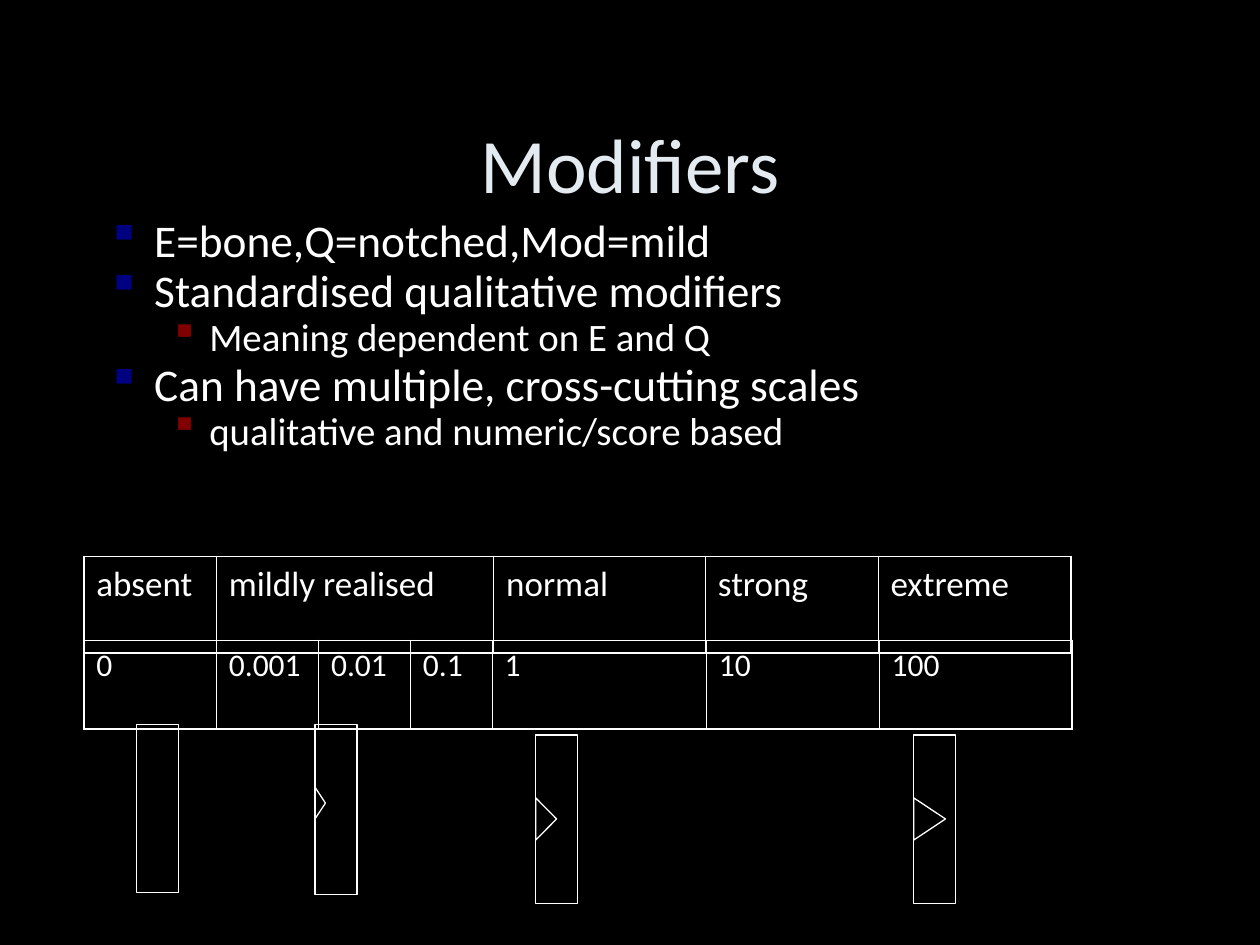
from dataclasses import dataclass

from lxml import etree
from pptx import Presentation
from pptx.dml.color import RGBColor
from pptx.enum.shapes import MSO_SHAPE
from pptx.enum.text import MSO_ANCHOR, PP_ALIGN
from pptx.oxml.ns import qn
from pptx.util import Cm, Pt

RECT = MSO_SHAPE.RECTANGLE
WEDGE = MSO_SHAPE.ISOSCELES_TRIANGLE
CENTER, LEFT = PP_ALIGN.CENTER, PP_ALIGN.LEFT
MIDDLE, TOP = MSO_ANCHOR.MIDDLE, MSO_ANCHOR.TOP
FONT = "Calibri"
WHITE, BLACK, PALE = "FFFFFF", "000000", "E3EBF1"
OUTER, INNER = 1.08, 0.45


@dataclass
class Level:
    size: float
    margin: float
    indent: float
    before: float
    color: str


@dataclass
class Scale:
    top: float
    height: float
    size: float
    cols: list[tuple[str, float]]


@dataclass
class Bone:
    """A bone outline; its notch has a depth, a span and a centre height."""
    left: float
    top: float
    height: float
    depth: float = 0
    span: float = 0
    mid: float = 0


LEVELS = [
    Level(25.9, 0.95, -0.95, 7, "000080"),
    Level(22.2, 2.06, -0.79, 6, "800000"),
]
POINTS = [
    (0, "E=bone,Q=notched,Mod=mild"),
    (0, "Standardised qualitative modifiers"),
    (1, "Meaning dependent on E and Q"),
    (0, "Can have multiple, cross-cutting scales"),
    (1, "qualitative and numeric/score based"),
]
SCALES = [
    Scale(11.22, 1.95, 20, [
        ("absent", 2.67), ("mildly realised", 5.59), ("normal", 4.27),
        ("strong", 3.48), ("extreme", 3.89)]),
    Scale(12.91, 1.78, 18, [
        ("0", 2.67), ("0.001", 2.06), ("0.01", 1.85), ("0.1", 1.65),
        ("1", 4.32), ("10", 3.48), ("100", 3.89)]),
]
BONES = [
    Bone(2.75, 14.61, 3.39),
    Bone(6.35, 14.61, 3.43, 0.21, 0.64, 16.19),
    Bone(10.8, 14.82, 3.39, 0.42, 0.85, 16.51),
    Bone(18.42, 14.82, 3.39, 0.64, 0.85, 16.51),
]
BONE_WIDTH = 0.85


def rgb(color: str) -> RGBColor:
    return RGBColor.from_string(color)


def write(para, text: str, *, size: float, color: str = WHITE,
          align=LEFT) -> None:
    para.alignment = align
    run = para.add_run()
    run.text = text
    run.font.name = FONT
    run.font.size = Pt(size)
    run.font.color.rgb = rgb(color)


def bullet(para, level: Level) -> None:
    props = para._p.get_or_add_pPr()
    props.set("marL", str(Cm(level.margin)))
    props.set("indent", str(Cm(level.indent)))
    tint = etree.SubElement(props, qn("a:buClr"))
    etree.SubElement(tint, qn("a:srgbClr"), val=level.color)
    etree.SubElement(props, qn("a:buChar"), char="▪")


def border(cell, sides: dict[str, float]) -> None:
    props = cell._tc.get_or_add_tcPr()
    for spot, (side, width) in enumerate(sides.items()):
        line = etree.Element(qn(f"a:ln{side}"), w=str(Pt(width)))
        fill = etree.SubElement(line, qn("a:solidFill"))
        etree.SubElement(fill, qn("a:srgbClr"), val=WHITE)
        props.insert(spot, line)


def add_points(slide) -> None:
    box = slide.shapes.add_textbox(Cm(1.91), Cm(4.45), Cm(21.79), Cm(5.08))
    frame = box.text_frame
    frame.word_wrap = True
    for spot, (depth, text) in enumerate(POINTS):
        para = frame.add_paragraph() if spot else frame.paragraphs[0]
        level = LEVELS[depth]
        bullet(para, level)
        para.level = depth
        para.line_spacing = 0.7
        para.space_before = Pt(level.before if spot else 0)
        write(para, text, size=level.size)


def add_scale(slide, scale: Scale) -> None:
    width = sum(wide for _, wide in scale.cols)
    count = len(scale.cols)
    table = slide.shapes.add_table(
        1, count, Cm(1.69), Cm(scale.top), Cm(width), Cm(scale.height)).table
    table.first_row = table.horz_banding = False
    for spot, (text, wide) in enumerate(scale.cols):
        table.columns[spot].width = Cm(wide)
        cell = table.cell(0, spot)
        cell.fill.background()
        write(cell.text_frame.paragraphs[0], text, size=scale.size)
        border(cell, {
            "L": INNER if spot else OUTER,
            "R": INNER if spot < count - 1 else OUTER,
            "T": OUTER,
            "B": OUTER,
        })


def outline(slide, kind, left: float, top: float, width: float,
            height: float, turn: float = 0) -> None:
    shape = slide.shapes.add_shape(
        kind, Cm(left), Cm(top), Cm(width), Cm(height))
    shape.rotation = turn
    shape.shadow.inherit = False
    shape.fill.background()
    shape.line.color.rgb = rgb(WHITE)
    shape.line.width = Pt(0.75)


def add_bone(slide, bone: Bone) -> None:
    outline(slide, RECT, bone.left, bone.top, BONE_WIDTH, bone.height)
    if bone.depth:
        # Turned about its centre, the wedge rests its base on the left edge.
        outline(slide, WEDGE, bone.left + (bone.depth - bone.span) / 2,
                bone.mid - bone.depth / 2, bone.span, bone.depth, turn=90)


def add_title(slide) -> None:
    title = slide.shapes.title
    title.left, title.top = Cm(1.91), Cm(1.69)
    title.width, title.height = Cm(21.59), Cm(3.18)
    title.text_frame.vertical_anchor = MIDDLE
    write(title.text_frame.paragraphs[0], "Modifiers", size=44, color=PALE,
          align=CENTER)


def main() -> None:
    deck = Presentation()
    deck.slide_width, deck.slide_height = Cm(25.4), Cm(19.05)
    slide = deck.slides.add_slide(deck.slide_layouts[5])
    slide.background.fill.solid()
    slide.background.fill.fore_color.rgb = rgb(BLACK)
    add_title(slide)
    add_points(slide)
    for scale in SCALES:
        add_scale(slide, scale)
    for bone in BONES:
        add_bone(slide, bone)
    deck.save("out.pptx")


if __name__ == "__main__":
    main()
